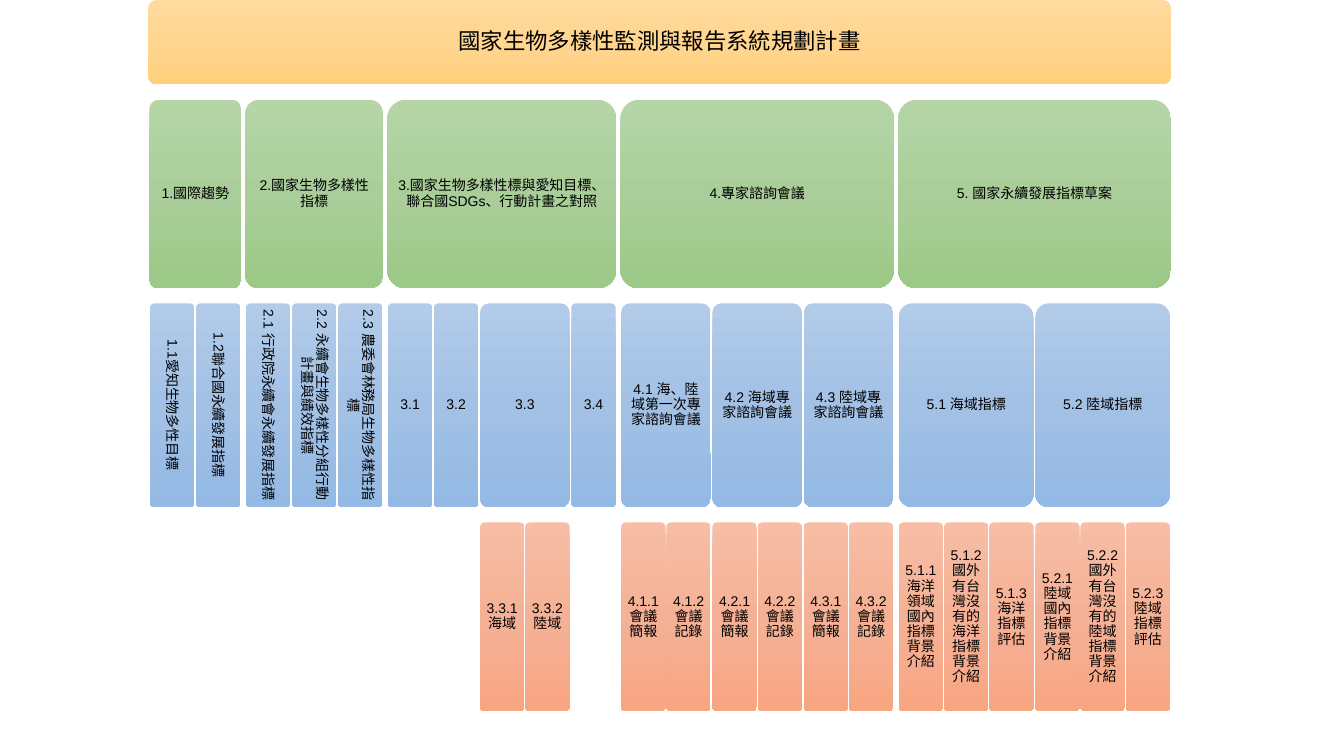
import copy
import pptx
import pptx.util
import pptx.dml.color
import pptx.enum.shapes
import pptx.enum.text
import pptx.oxml.ns

Pt = pptx.util.Pt
qn = pptx.oxml.ns.qn

TITLE = "國家生物多樣性監測與報告系統規劃計畫"
TITLE_COLORS = ("FFDB9E", "FFD590", "FFD07C")
LEVELS = [
    {"top": 71.2, "height": 134.8, "pad": 0.6, "gap": 2.7,
     "colors": ("B5D5A7", "AACE9A", "9CC987")},
    {"top": 216.7, "height": 145.6, "pad": 0, "gap": 1.2,
     "colors": ("B1CBE9", "A3C1E5", "93B9E4")},
    {"top": 373.2, "height": 134.8, "pad": 0, "gap": 0.6,
     "colors": ("F7BDA5", "F5B196", "F8A582")},
]
LEAF_WIDTH = 31.7
VERTICAL = ("1.1", "1.2", "2.1", "2.2", "2.3")

PLAN = [
    ("1.國際趨勢", [
        ("1.1愛知生物多性目標", []),
        ("1.2聯合國永續發展指標", [])]),
    ("2.國家生物多樣性指標", [
        ("2.1 行政院永續會永續發展指標", []),
        ("2.2 永續會生物多樣性分組行動計畫與績效指標", []),
        ("2.3 農委會林務局生物多樣性指標", [])]),
    ("3.國家生物多樣性標與愛知目標、聯合國SDGs、行動計畫之對照", [
        ("3.1", []),
        ("3.2", []),
        ("3.3", [("3.3.1海域", []), ("3.3.2陸域", [])]),
        ("3.4", [])]),
    ("4.專家諮詢會議", [
        (f"4.{n} {name}專家諮詢會議",
         [(f"4.{n}.1 會議簡報", []), (f"4.{n}.2 會議記錄", [])])
        for n, name in enumerate(("海、陸域第一次", "海域", "陸域"), 1)]),
    ("5. 國家永續發展指標草案", [
        ("5.1 海域指標", [
            ("5.1.1海洋領域國內指標背景介紹", []),
            ("5.1.2國外有台灣沒有的海洋指標背景介紹", []),
            ("5.1.3 海洋指標評估", [])]),
        ("5.2 陸域指標", [
            ("5.2.1陸域國內指標背景介紹", []),
            ("5.2.2 國外有台灣沒有的陸域指標背景介紹", []),
            ("5.2.3 陸域指標評估", [])])]),
]


def rgb(value):
    return pptx.dml.color.RGBColor.from_string(value)


def set_text(sp, text, size=10, inset=2.7, color="000000", vertical=False):
    tf = sp.text_frame
    tf.word_wrap = True
    tf.auto_size = pptx.enum.text.MSO_AUTO_SIZE.NONE
    tf.vertical_anchor = pptx.enum.text.MSO_ANCHOR.MIDDLE
    tf.margin_left = tf.margin_right = Pt(inset)
    tf.margin_top = tf.margin_bottom = Pt(inset)
    if vertical:
        sp._element.txBody.find(qn("a:bodyPr")).set("vert", "vert")
    p = tf.paragraphs[0]
    p.alignment = pptx.enum.text.PP_ALIGN.CENTER
    p.line_spacing = 0.9
    r = p.add_run()
    r.text = text
    r.font.size = Pt(size)
    r.font.name = "Arial"
    r.font.color.rgb = rgb(color)


def add_box(slide, left, top, width, height, colors):
    sp = slide.shapes.add_shape(
        pptx.enum.shapes.MSO_SHAPE.ROUNDED_RECTANGLE,
        Pt(left), Pt(top), Pt(width), Pt(height))
    sp.adjustments[0] = 0.1
    sp.shadow.inherit = False
    sp.line.fill.background()
    sp.fill.gradient()
    sp.fill.gradient_angle = 270
    stops = sp._element.spPr.find(".//" + qn("a:gsLst"))
    stops.insert(1, copy.deepcopy(stops[0]))
    for stop, position, color in zip(sp.fill.gradient_stops, (0, 0.5, 1), colors):
        stop.position = position
        stop.color.rgb = rgb(color)
    return sp


def add_title(slide, left, top, width, height):
    add_box(slide, left, top, width, height, TITLE_COLORS)
    title = slide.shapes.title
    title.left, title.top = Pt(left), Pt(top)
    title.width, title.height = Pt(width), Pt(height)
    set_text(title, TITLE, size=16, inset=5.4)
    slide.shapes._spTree.append(title._element)


def branch_width(children, depth):
    if not children:
        return LEAF_WIDTH
    widths = [branch_width(below, depth + 1) for _, below in children]
    return (sum(widths) + LEVELS[depth + 1]["gap"] * (len(widths) - 1)
            + 2 * LEVELS[depth]["pad"])


def add_branches(slide, branches, left, depth=0):
    level = LEVELS[depth]
    for text, children in branches:
        width = branch_width(children, depth)
        sp = add_box(slide, left, level["top"], width, level["height"], level["colors"])
        set_text(sp, text, vertical=depth == 1 and text.startswith(VERTICAL))
        add_branches(slide, children, left + level["pad"], depth + 1) if children else None
        left += width + level["gap"]


prs = pptx.Presentation()
prs.slide_width, prs.slide_height = Pt(960), Pt(540)
slide = prs.slides.add_slide(prs.slide_layouts[5])
add_title(slide, 105.8, 0, 731, 60)
add_branches(slide, PLAN, 106.6)
prs.save("out.pptx")
